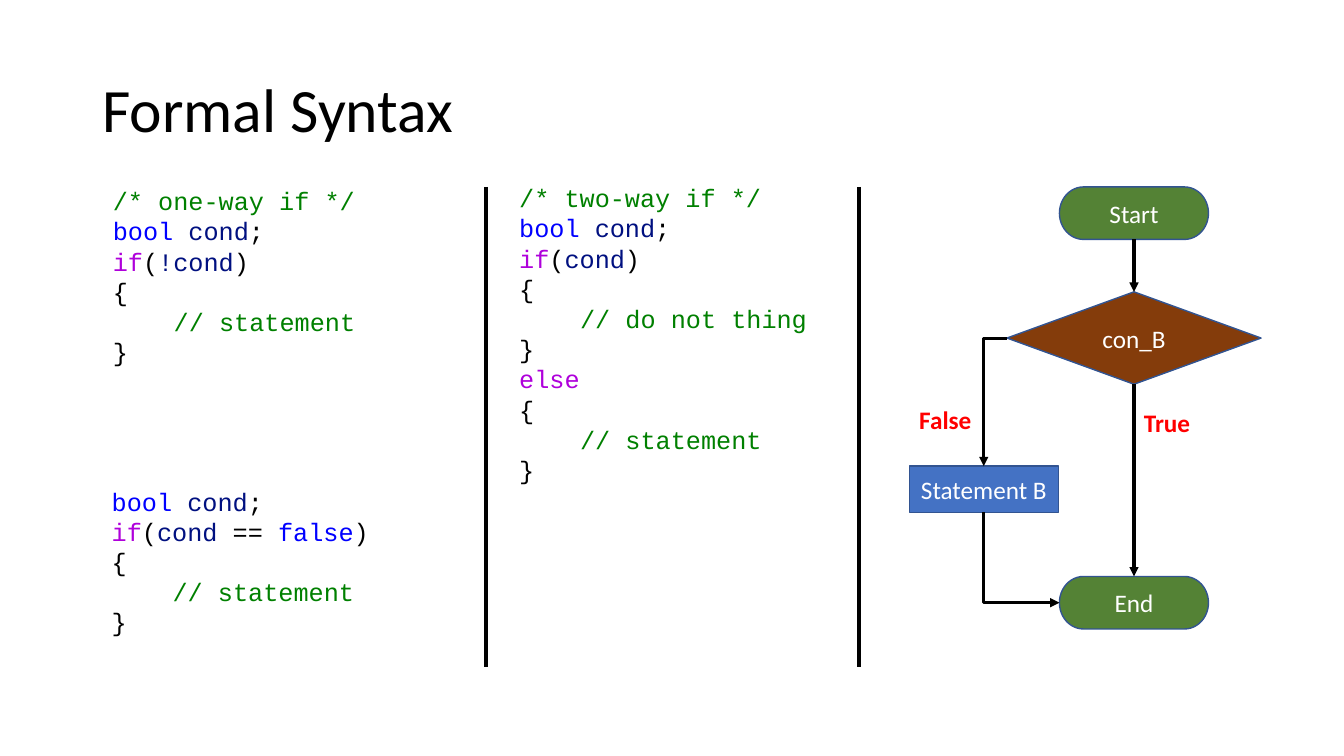
from dataclasses import dataclass

from lxml import etree
from pptx import Presentation
from pptx.dml.color import RGBColor
from pptx.enum.shapes import MSO_CONNECTOR, MSO_SHAPE
from pptx.enum.text import MSO_ANCHOR, PP_ALIGN
from pptx.oxml.ns import qn
from pptx.util import Emu, Pt

STRAIGHT, ELBOW = MSO_CONNECTOR.STRAIGHT, MSO_CONNECTOR.ELBOW
TERMINATOR = MSO_SHAPE.FLOWCHART_TERMINATOR
DECISION = MSO_SHAPE.FLOWCHART_DECISION
PROCESS = MSO_SHAPE.FLOWCHART_PROCESS
LEFT, CENTER = PP_ALIGN.LEFT, PP_ALIGN.CENTER
MIDDLE, TOP_ANCHOR = MSO_ANCHOR.MIDDLE, MSO_ANCHOR.TOP
TOP, BOTTOM = 0, 2

BLACK, WHITE, RED = "000000", "FFFFFF", "FF0000"
GREEN, BROWN, BLUE, OUTLINE = "548235", "843C0B", "4472C4", "325491"
COMMENT, TYPE, NAME, FLOW = "008000", "0000FF", "001080", "AF00DB"
INDENT = 58


@dataclass(frozen=True)
class Line:
    runs: tuple
    indent: int = 0


@dataclass(frozen=True)
class Box:
    x: int
    y: int
    w: int
    h: int


@dataclass(frozen=True)
class Node:
    text: str
    kind: int
    fill: str
    box: Box


@dataclass(frozen=True)
class Code:
    box: Box
    lines: tuple


def px(n: float) -> Emu:
    return Emu(round(n * 9525))


def rgb(color: str) -> RGBColor:
    return RGBColor.from_string(color)


def place(box: Box) -> tuple:
    return px(box.x), px(box.y), px(box.w), px(box.h)


def add_text(p, text: str, *, size: int = 18, font: str = "Calibri",
             color: str = BLACK, bold: bool = False) -> None:
    r = p.add_run()
    r.text = text
    r.font.size, r.font.name, r.font.bold = Pt(size), font, bold
    r.font.color.rgb = rgb(color)


def add_box(s, box: Box):
    tf = s.shapes.add_textbox(*place(box)).text_frame
    tf.word_wrap = True
    tf.vertical_anchor = TOP_ANCHOR
    return tf


def add_code(s, code: Code) -> None:
    tf = add_box(s, code.box)
    for i, line in enumerate(code.lines):
        p = tf.add_paragraph() if i else tf.paragraphs[0]
        p.alignment = LEFT
        if line.indent:
            p._p.get_or_add_pPr().set("marL", str(px(line.indent)))
        for text, color in line.runs:
            add_text(p, text, font="Courier New", color=color)


def add_node(s, node: Node):
    sp = s.shapes.add_shape(node.kind, *place(node.box))
    sp.shadow.inherit = False
    sp.fill.solid()
    sp.fill.fore_color.rgb = rgb(node.fill)
    sp.line.color.rgb = rgb(OUTLINE)
    sp.line.width = Pt(1)
    tf = sp.text_frame
    tf.word_wrap = True
    tf.vertical_anchor = MIDDLE
    p = tf.paragraphs[0]
    p.alignment = CENTER
    add_text(p, node.text, color=WHITE)
    return sp


def add_line(s, x1: float, y1: float, x2: float, y2: float, *,
             kind: int = STRAIGHT, width: float = 2.25, arrow: bool = True):
    cxn = s.shapes.add_connector(kind, px(x1), px(y1), px(x2), px(y2))
    cxn.line.color.rgb = rgb(BLACK)
    cxn.line.width = Pt(width)
    if arrow:
        etree.SubElement(cxn.line._ln, qn("a:tailEnd"), type="triangle")
    spPr = cxn._element.spPr
    etree.SubElement(spPr, qn("a:effectLst"))
    if kind == ELBOW:
        spPr.find(qn("a:prstGeom")).set("prst", "bentConnector2")
    return cxn


def add_down_right(s, x1: int, y1: int, x2: int, y2: int) -> None:
    cx, cy = (x1 + x2) / 2, (y1 + y2) / 2
    dx, dy = (x2 - x1) / 2, (y2 - y1) / 2
    cxn = add_line(s, cx + dy, cy - dx, cx - dy, cy + dx, kind=ELBOW)
    cxn._element.spPr.find(qn("a:xfrm")).set("rot", "16200000")


def comment(text: str, indent: int = 0) -> Line:
    return Line(((text, COMMENT),), indent)


def if_line(*condition: tuple) -> Line:
    return Line((("if", FLOW), ("(", BLACK), *condition, (")", BLACK)))


def block(text: str) -> tuple:
    return (Line((("{", BLACK),)), comment(text, INDENT), Line((("}", BLACK),)))


DECLARE = Line((("bool ", TYPE), ("cond", NAME), (";", BLACK)))
ELSE = Line((("else", FLOW),))

CODES = (
    Code(Box(98, 172, 260, 184), (
        comment("/* one-way if */"), DECLARE, if_line(("!cond", NAME)),
        *block("// statement"))),
    Code(Box(485, 169, 342, 300), (
        comment("/* two-way if */"), DECLARE, if_line(("cond", NAME)),
        *block("// do not thing"), ELSE, *block("// statement"))),
    Code(Box(97, 458, 300, 156), (
        DECLARE,
        if_line(("cond", NAME), (" == ", BLACK), ("false", TYPE)),
        *block("// statement"))),
)

START = Node("Start", TERMINATOR, GREEN, Box(1009, 178, 142, 50))
TEST = Node("con_B", DECISION, BROWN, Box(959, 278, 242, 88))
STATEMENT = Node("Statement B", PROCESS, BLUE, Box(866, 444, 142, 44))
END = Node("End", TERMINATOR, GREEN, Box(1009, 549, 142, 50))
LABELS = (("True", Box(1080, 383, 70, 38)), ("False", Box(866, 380, 76, 38)))


def main() -> None:
    prs = Presentation()
    prs.slide_width, prs.slide_height = px(1280), px(720)
    s = prs.slides.add_slide(prs.slide_layouts[5])

    title = s.shapes.title
    title.left, title.top, title.width, title.height = place(Box(88, 38, 1104, 139))
    title.text_frame.vertical_anchor = MIDDLE
    p = title.text_frame.paragraphs[0]
    p.alignment, p.line_spacing = LEFT, 0.9
    add_text(p, "Formal Syntax", size=44)

    shapes = {n.text: add_node(s, n) for n in (END, TEST, STATEMENT, START)}
    for a, b in ((START, TEST), (TEST, END)):
        x = a.box.x + a.box.w // 2
        cxn = add_line(s, x, a.box.y + a.box.h, x, b.box.y)
        cxn.begin_connect(shapes[a.text], BOTTOM)
        cxn.end_connect(shapes[b.text], TOP)

    box = STATEMENT.box
    x = box.x + box.w // 2
    add_line(s, TEST.box.x, TEST.box.y + TEST.box.h // 2, x, box.y, kind=ELBOW)
    add_down_right(s, x, box.y + box.h, END.box.x, END.box.y + END.box.h // 2)

    for text, label_box in LABELS:
        add_text(add_box(s, label_box).paragraphs[0], text, color=RED, bold=True)
    for code in CODES:
        add_code(s, code)
    for x in (463, 818):
        add_line(s, x, 178, x, 635, width=3, arrow=False)

    prs.save("out.pptx")


if __name__ == "__main__":
    main()
